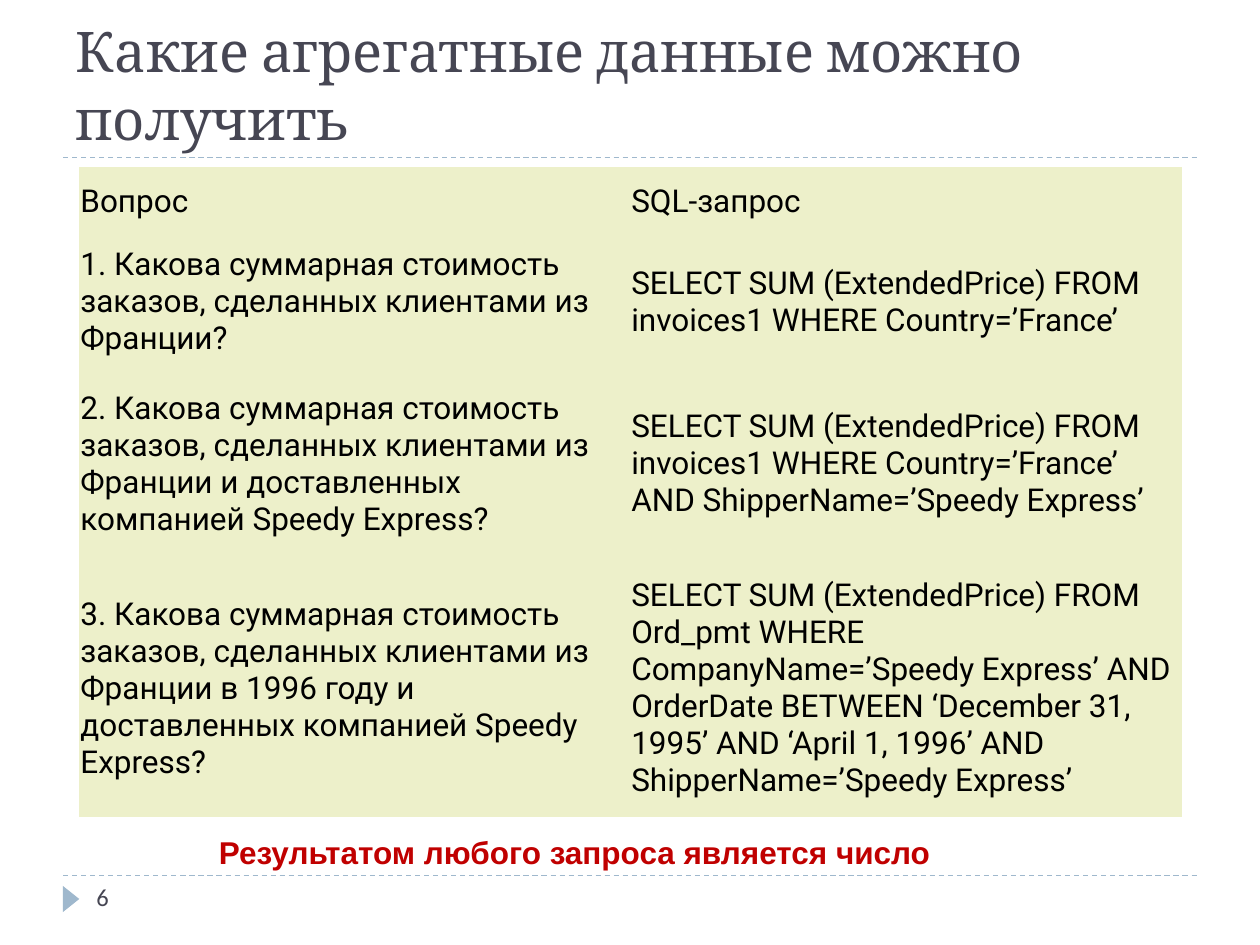
from lxml import etree
from pptx import Presentation
from pptx.dml.color import RGBColor
from pptx.enum import dml, shapes, text
from pptx.oxml import ns
from pptx.util import Pt

COLORS = {
    "heading": "464653",
    "accent": "9FB8CD",
    "cell": "EDF0CA",
    "body": "000000",
    "result": "C00000",
}
PLAIN_TABLE_STYLE = "{2D5ABB26-0587-4C30-8999-92F81FD0307C}"
COLUMN_WIDTHS = (314.8, 315.2)
ROW_HEIGHTS = (39.6, 74.9, 110.2, 146.5)
QUERIES = (
    ("Вопрос", "SQL-запрос"),
    ("1. Какова суммарная стоимость заказов, сделанных клиентами из Франции?",
     "SELECT SUM (ExtendedPrice) FROM invoices1 WHERE Country=’France’"),
    ("2. Какова суммарная стоимость заказов, сделанных клиентами из Франции "
     "и доставленных компанией Speedy Express?",
     "SELECT SUM (ExtendedPrice) FROM invoices1 WHERE Country=’France’ "
     "AND ShipperName=’Speedy Express’"),
    ("3. Какова суммарная стоимость заказов, сделанных клиентами из Франции "
     "в 1996 году и доставленных компанией Speedy Express?",
     "SELECT SUM (ExtendedPrice) FROM Ord_pmt WHERE "
     "CompanyName=’Speedy Express’ AND OrderDate BETWEEN ‘December 31, 1995’ "
     "AND ‘April 1, 1996’ AND ShipperName=’Speedy Express’"),
)


def color(name):
    return RGBColor.from_string(COLORS[name])


def set_font(para, name, size, color_name, bold=False):
    font = para.font
    font.name, font.size, font.bold = name, Pt(size), bold
    font.color.rgb = color(color_name)


def add_text(page, words, left, top, width, height, font, size, color_name,
             bold=False, anchor=text.MSO_ANCHOR.TOP):
    box = page.shapes.add_textbox(Pt(left), Pt(top), Pt(width), Pt(height))
    frame = box.text_frame
    frame.word_wrap = True
    frame.vertical_anchor = anchor
    para = frame.paragraphs[0]
    para.text = words
    set_font(para, font, size, color_name, bold)


def add_rule(page, top):
    """Draw a dashed line across the page."""
    line = page.shapes.add_connector(
        shapes.MSO_CONNECTOR.STRAIGHT, Pt(36), Pt(top), Pt(684), Pt(top))
    line.line.color.rgb = color("accent")
    line.line.width = Pt(0.75)
    line.line.dash_style = dml.MSO_LINE.DASH
    etree.SubElement(line._element.spPr, ns.qn("a:effectLst"))


def add_page_marker(page):
    marker = page.shapes.add_shape(
        shapes.MSO_SHAPE.ISOSCELES_TRIANGLE, Pt(33.1), Pt(509), Pt(15), Pt(9.4))
    marker.rotation = 90
    marker.shadow.inherit = False
    marker.fill.solid()
    marker.fill.fore_color.rgb = color("accent")
    marker.line.fill.background()


def fill_cell(cell, words):
    cell.fill.solid()
    cell.fill.fore_color.rgb = color("cell")
    cell.margin_left = cell.margin_right = Pt(0.75)
    cell.margin_top = cell.margin_bottom = Pt(3.6)
    cell.vertical_anchor = text.MSO_ANCHOR.MIDDLE
    para = cell.text_frame.paragraphs[0]
    para.text = words
    para.space_after = Pt(10)
    set_font(para, "Roboto", 18, "body")


def add_query_table(page):
    table = page.shapes.add_table(
        len(QUERIES), len(COLUMN_WIDTHS), Pt(45.2), Pt(95.6),
        Pt(sum(COLUMN_WIDTHS)), Pt(sum(ROW_HEIGHTS))).table
    table.first_row = table.horz_banding = False
    table._tbl.tblPr.find(ns.qn("a:tableStyleId")).text = PLAIN_TABLE_STYLE
    for column, width in zip(table.columns, COLUMN_WIDTHS):
        column.width = Pt(width)
    for row, height, entries in zip(table.rows, ROW_HEIGHTS, QUERIES):
        row.height = Pt(height)
        for cell, words in zip(row.cells, entries):
            fill_cell(cell, words)


def main():
    deck = Presentation()
    deck.slide_width, deck.slide_height = Pt(720), Pt(540)
    page = deck.slides.add_slide(deck.slide_layouts[6])
    for top in (500.4, 90):
        add_rule(page, top)
    add_page_marker(page)
    add_text(page, "Какие агрегатные данные можно получить",
             36, 12, 648, 78, "Cambria", 32, "heading",
             anchor=text.MSO_ANCHOR.BOTTOM)
    add_text(page, "6", 48, 500.4, 156, 28.8, "Calibri", 14, "heading")
    add_query_table(page)
    add_text(page, "Результатом любого запроса является число",
             118, 472.3, 444, 29, "Arial", 18, "result", bold=True)
    deck.save("out.pptx")


if __name__ == "__main__":
    main()
